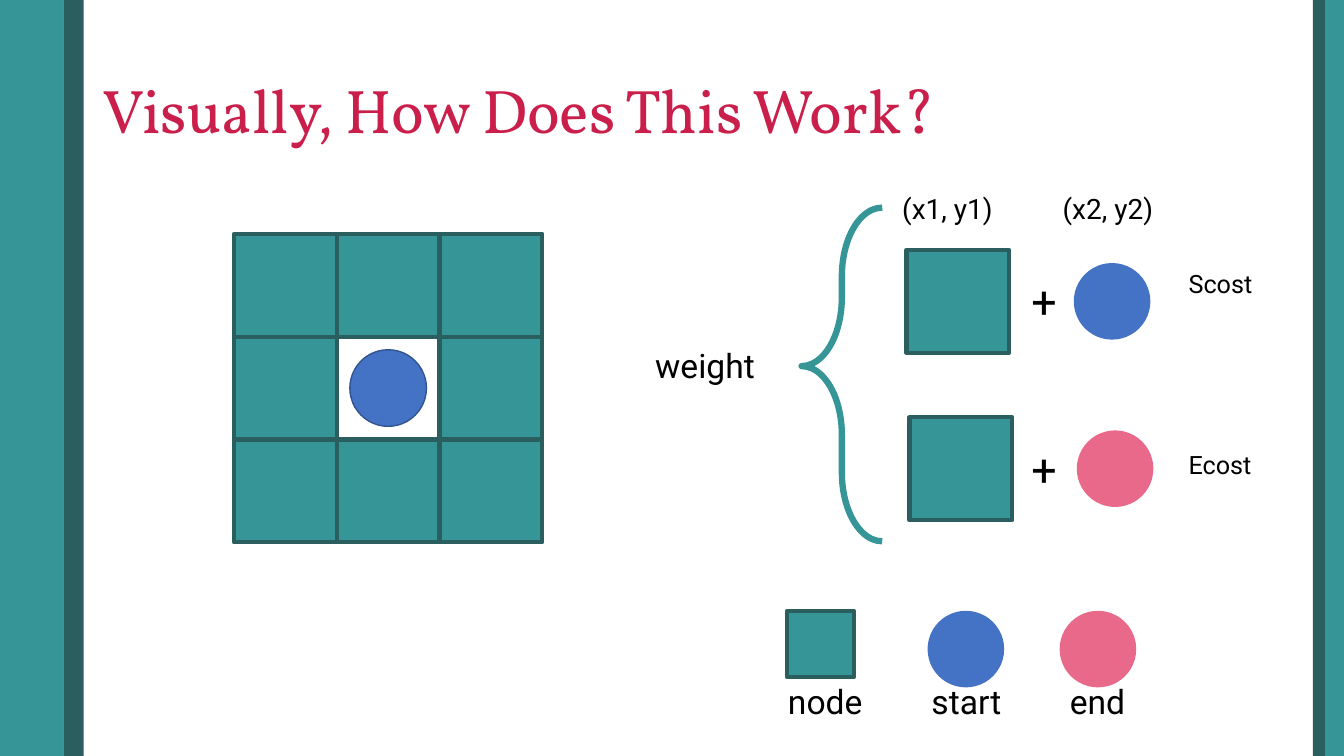
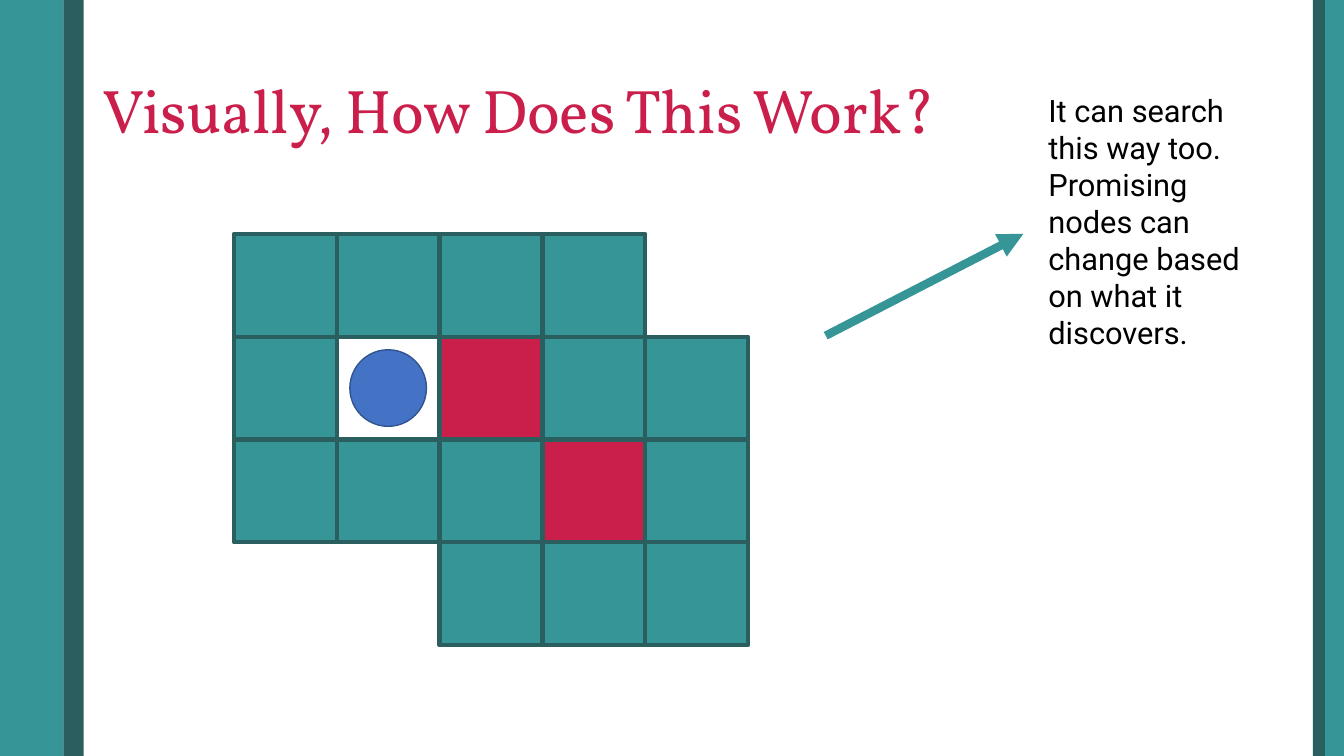
"""Build two slides that show how a grid search weighs and explores nodes."""
from lxml import etree
from pptx import Presentation
from pptx.dml.color import RGBColor
from pptx.enum.shapes import MSO_CONNECTOR, MSO_SHAPE
from pptx.enum.text import MSO_ANCHOR, PP_ALIGN
from pptx.oxml.ns import qn
from pptx.util import Inches, Pt

RECTANGLE, OVAL, BRACE = MSO_SHAPE.RECTANGLE, MSO_SHAPE.OVAL, MSO_SHAPE.LEFT_BRACE
STRAIGHT = MSO_CONNECTOR.STRAIGHT
LEFT, CENTER, MIDDLE = PP_ALIGN.LEFT, PP_ALIGN.CENTER, MSO_ANCHOR.MIDDLE

COLORS = {
    "teal": "369697",
    "dark_teal": "2B5E5F",
    "crimson": "CA1E4B",
    "blue": "4472C4",
    "dark_blue": "325491",
    "pink": "E9698B",
    "black": "000000",
}
RGB = {name: RGBColor.from_string(value) for name, value in COLORS.items()}
TITLE = "Visually, How Does This Work?"
BANDS = [(0, 0.63, "teal"), (0.63, 0.2, "dark_teal"),
         (13.14, 0.2, "teal"), (13.02, 0.12, "dark_teal")]
GRIDS = [
    ["nnn",
     "nsn",
     "nnn"],
    ["nnnn ",
     "nspnn",
     "nnnpn",
     "  nnn"],
]
CELL_FILLS = {"n": "teal", "p": "crimson"}
GRID_START = 2.32
CELL = 1.02
CIRCLE = 0.76


def add_figure(slide, kind, left, top, width, height, fill=None, line=None, weight=3):
    shape = slide.shapes.add_shape(
        kind, Inches(left), Inches(top), Inches(width), Inches(height))
    shape.shadow.inherit = False
    if fill:
        shape.fill.solid()
        shape.fill.fore_color.rgb = RGB[fill]
    else:
        shape.fill.background()
    if line:
        shape.line.color.rgb = RGB[line]
        shape.line.width = Pt(weight)
    else:
        shape.line.fill.background()
    return shape


def add_label(slide, text, left, top, width, height, size, alignment=LEFT):
    box = slide.shapes.add_textbox(
        Inches(left), Inches(top), Inches(width), Inches(height))
    box.text_frame.word_wrap = True
    paragraph = box.text_frame.paragraphs[0]
    paragraph.text = text
    paragraph.alignment = alignment
    paragraph.font.name = "Roboto"
    paragraph.font.size = Pt(size)
    paragraph.font.color.rgb = RGB["black"]


presentation = Presentation()
presentation.slide_width = Inches(13.33)
presentation.slide_height = Inches(7.5)
title_only = presentation.slide_layouts[5]

for grid in GRIDS:
    slide = presentation.slides.add_slide(title_only)
    title = slide.shapes.title
    title.left, title.top = Inches(0.92), Inches(0.4)
    title.width, title.height = Inches(11.5), Inches(1.45)
    title.text_frame.text = TITLE
    title.text_frame.vertical_anchor = MIDDLE
    paragraph = title.text_frame.paragraphs[0]
    paragraph.alignment = LEFT
    paragraph.line_spacing = 0.9
    paragraph.font.name = "Vollkorn"
    paragraph.font.size = Pt(44)
    paragraph.font.color.rgb = RGB["crimson"]

    for left, width, color in BANDS:
        add_figure(slide, RECTANGLE, left, 0, width, 7.5, color)

    for row, cells in enumerate(grid):
        for column, cell in enumerate(cells):
            left = GRID_START + column * CELL
            top = GRID_START + row * CELL
            if cell == "s":
                inset = (CELL - CIRCLE) / 2
                add_figure(slide, OVAL, left + inset, top + inset,
                           CIRCLE, CIRCLE, "blue", "dark_blue", 1)
            elif cell in CELL_FILLS:
                add_figure(slide, RECTANGLE, left, top, CELL, CELL,
                           CELL_FILLS[cell], "dark_teal")

weight_slide, search_slide = presentation.slides

add_label(weight_slide, "weight", 6.4, 3.37, 1.25, 0.5, 24)
brace = add_figure(weight_slide, BRACE, 7.95, 2.06, 0.8, 3.31,
                   line="teal", weight=4.5)
brace.adjustments[0] = 0.852
brace.adjustments[1] = 0.475

for text, left in [("(x1, y1)", 8.85), ("(x2, y2)", 10.44)]:
    add_label(weight_slide, text, left, 1.85, 1.25, 0.44, 20)

COSTS = [
    ("Scost", "blue", 8.99, 2.48, 2.61, 2.67, 2.61),
    ("Ecost", "pink", 9.02, 4.14, 4.27, 4.33, 4.41),
]
for name, color, left, node_top, circle_top, plus_top, name_top in COSTS:
    add_figure(weight_slide, RECTANGLE, left, node_top, CELL, CELL, "teal", "dark_teal")
    add_label(weight_slide, "+", 10.13, plus_top, 0.31, 0.64, 32)
    add_figure(weight_slide, OVAL, left + 1.66, circle_top, CIRCLE, CIRCLE, color)
    add_label(weight_slide, name, 11.69, name_top, 1.01, 0.4, 18)

LEGEND = [
    ("node", RECTANGLE, 7.81, 0.66, "teal", "dark_teal", 7.56),
    ("start", OVAL, 9.2, CIRCLE, "blue", None, 8.96),
    ("end", OVAL, 10.51, CIRCLE, "pink", None, 10.26),
]
for name, kind, left, size, fill, line, label_left in LEGEND:
    add_figure(weight_slide, kind, left, 6.06, size, size, fill, line)
    add_label(weight_slide, name, label_left, 6.71, 1.25, 0.5, 24, CENTER)

arrow = search_slide.shapes.add_connector(
    STRAIGHT, Inches(8.19), Inches(3.33), Inches(10.15), Inches(2.32))
arrow.line.color.rgb = RGB["teal"]
arrow.line.width = Pt(6)
etree.SubElement(arrow.line._get_or_add_ln(), qn("a:tailEnd"), type="triangle")
etree.SubElement(arrow._element.spPr, qn("a:effectLst"))
add_label(
    search_slide,
    "It can search this way too. Promising nodes can change based on what it discovers.",
    10.3, 0.86, 2.27, 2.69, 22)

presentation.save("out.pptx")
